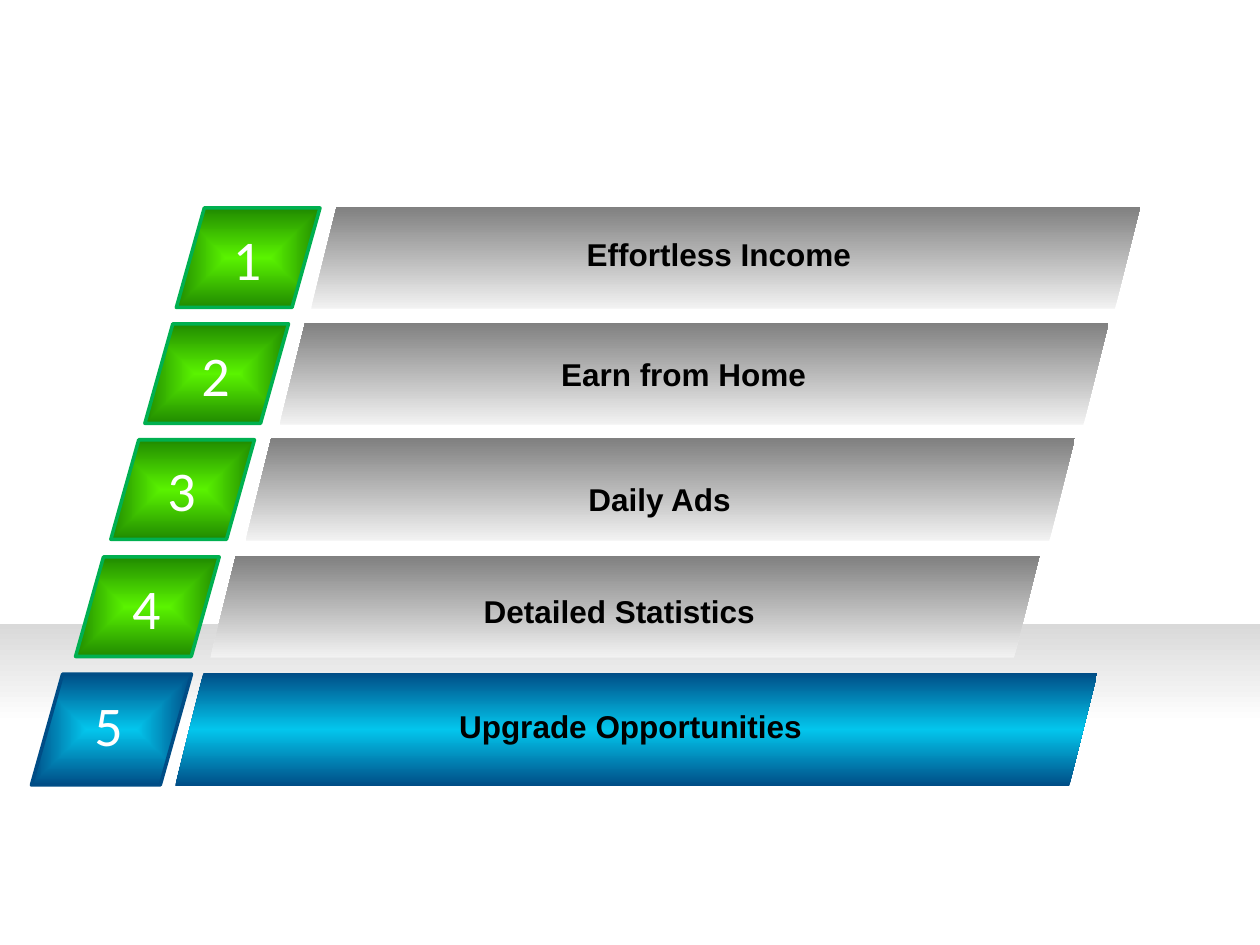
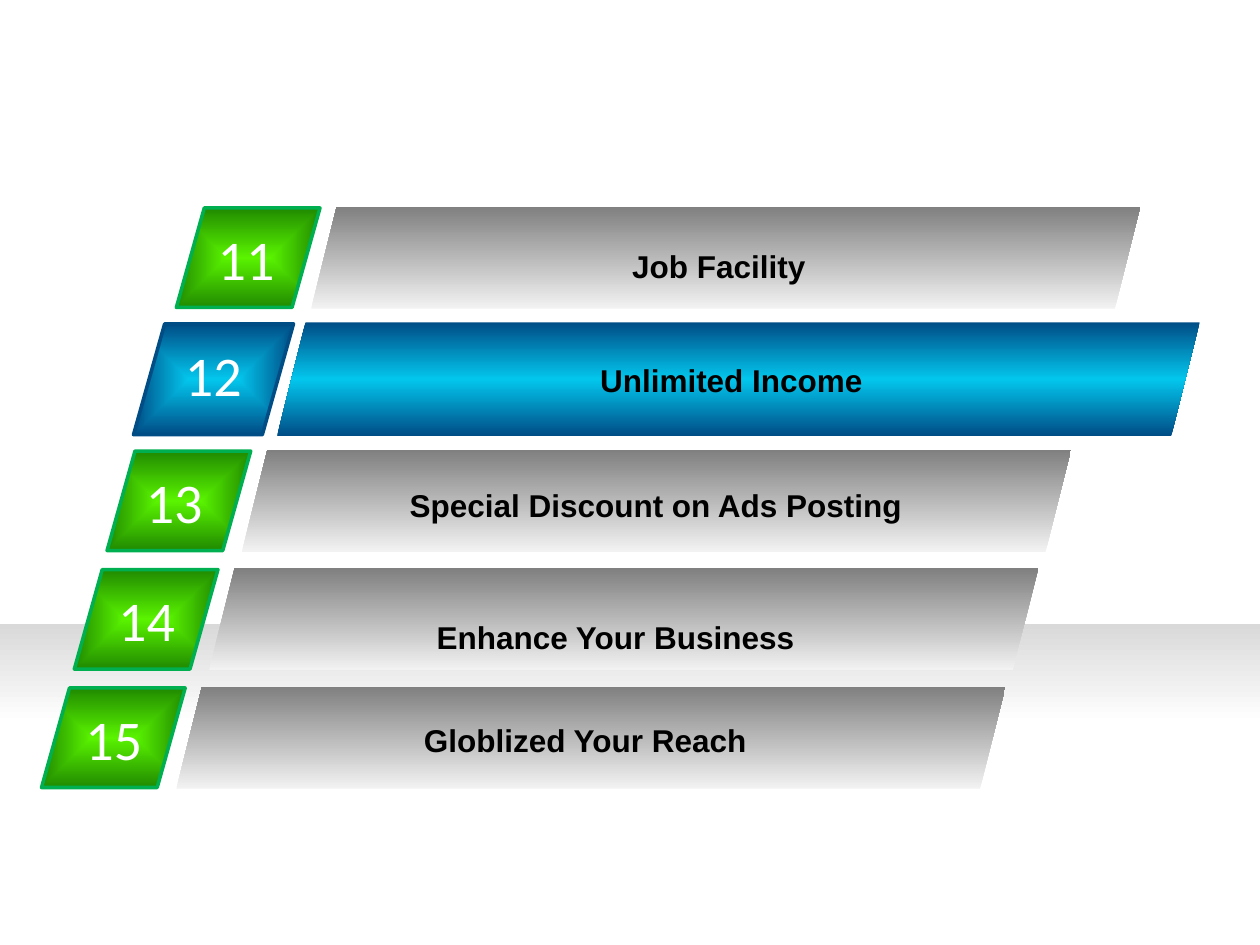
from lxml import etree
from pptx import Presentation
from pptx.dml.color import RGBColor
from pptx.enum.shapes import MSO_SHAPE as Shape
from pptx.enum.text import PP_ALIGN as Align
from pptx.oxml import parse_xml
from pptx.oxml.ns import nsdecls, qn
from pptx.util import Inches, Pt

COLORS = {
    "white": "FFFFFF", "black": "000000", "floor": "D9D9D9",
    "silver": "F2F2F2", "gray": "808080",
    "lime": "5AF300", "green": "208A00", "green_line": "00B050",
    "cyan": "03C6ED", "navy": "004D86",
}

# Sizes, offset of tile from bar, and gradients of the two row styles
STYLES = {
    "plain": {
        "tile": (1.14, 0.79), "bar": (6.58, 0.81), "tile_offset": 1.07,
        "label_width": 5.91, "line": "green_line",
        "tile_stops": [(0, "lime"), (100, "green")],
        "bar_stops": [(0, "silver"), (100, "gray")],
    },
    "highlight": {
        "tile": (1.27, 0.88), "bar": (7.32, 0.9), "tile_offset": 1.14,
        "label_width": 6.57, "line": "navy",
        "tile_stops": [(0, "cyan"), (100, "navy")],
        "bar_stops": [(0, "navy"), (50, "cyan"), (100, "navy")],
    },
}

# Number, label, style, bar left and top, number left, label left and top
SLIDES = [
    [
        ("1", "Effortless Income", "plain", 2.47, 1.64, 1.75, 2.75, 1.82),
        ("2", "Earn from Home", "plain", 2.22, 2.56, 1.5, 2.47, 2.77),
        ("3", "Daily Ads", "plain", 1.95, 3.48, 1.23, 2.28, 3.76),
        ("4", "Detailed Statistics", "plain", 1.67, 4.41, 0.95, 1.96, 4.65),
        ("5", "Upgrade Opportunities", "highlight", 1.39, 5.34, 0.65, 1.72, 5.56),
    ],
    [
        ("11", "Job Facility", "plain", 2.47, 1.64, 1.63, 2.75, 1.91),
        ("12", "Unlimited Income", "highlight", 2.2, 2.56, 1.37, 2.52, 2.82),
        ("13", "Special Discount on Ads Posting", "plain", 1.92, 3.57, 1.06, 2.25, 3.81),
        ("14", "Enhance Your Business", "plain", 1.66, 4.51, 0.84, 1.93, 4.86),
        ("15", "Globlized Your Reach", "plain", 1.4, 5.45, 0.58, 1.69, 5.67),
    ],
]


def add_gradient_shape(slide, kind, left, top, size, stops, angle=None):
    """Add a borderless shape; without an angle the gradient runs from its centre."""
    shape = slide.shapes.add_shape(
        kind, Inches(left), Inches(top), Inches(size[0]), Inches(size[1]))
    shape.shadow.inherit = False
    shape.line.fill.background()
    stop_xml = "".join(
        f'<a:gs pos="{position * 1000}"><a:srgbClr val="{COLORS[color]}"/></a:gs>'
        for position, color in stops)
    if angle is None:
        direction = ('<a:path path="shape"><a:fillToRect l="50000" t="50000" '
                     'r="50000" b="50000"/></a:path>')
    else:
        direction = f'<a:lin ang="{angle * 60000}" scaled="0"/>'
    gradient = parse_xml(
        f'<a:gradFill {nsdecls("a")} rotWithShape="1">'
        f'<a:gsLst>{stop_xml}</a:gsLst>{direction}</a:gradFill>')
    shape.element.spPr.find(qn("a:prstGeom")).addnext(gradient)
    return shape


def add_text(slide, text, left, top, width, height, size, font, color, bold, align):
    box = slide.shapes.add_textbox(
        Inches(left), Inches(top), Inches(width), Inches(height))
    box.text_frame.word_wrap = True
    paragraph = box.text_frame.paragraphs[0]
    paragraph.alignment = align
    run = paragraph.add_run()
    run.text = text
    run.font.size = Pt(size)
    run.font.name = font
    run.font.bold = bold
    run.font.color.rgb = RGBColor.from_string(COLORS[color])


presentation = Presentation()
presentation.slide_width = Inches(10)
presentation.slide_height = Inches(7.5)
blank_layout = presentation.slide_layouts[6]

for slide_index, rows in enumerate(SLIDES):
    slide = presentation.slides.add_slide(blank_layout)

    # Shared floor band, moved to the master once
    if slide_index == 0:
        floor = add_gradient_shape(
            slide, Shape.RECTANGLE, 0, 4.95, (10, 2.02),
            [(0, "floor"), (39, "white"), (100, "white")], 90)
        presentation.slide_master.shapes.element.append(floor.element)

    for number, label, style_name, left, top, number_left, label_left, label_top in rows:
        style = STYLES[style_name]

        # Numbered tile
        tile = add_gradient_shape(
            slide, Shape.PARALLELOGRAM, left - style["tile_offset"], top + 0.01,
            style["tile"], style["tile_stops"])
        tile.adjustments[0] = 0.281
        tile.line.color.rgb = RGBColor.from_string(COLORS[style["line"]])
        tile.line.width = Pt(2)
        etree.SubElement(tile.element.spPr.find(qn("a:ln")), qn("a:round"))
        add_text(slide, number, number_left, top + 0.09, 0.8, 0.64,
                 32, "Calibri", "white", False, Align.LEFT)

        # Bar with its label
        add_gradient_shape(slide, Shape.PARALLELOGRAM, left, top,
                           style["bar"], style["bar_stops"], 270)
        add_text(slide, label, label_left, label_top, style["label_width"], 0.4,
                 18, "Arial", "black", True, Align.CENTER)

presentation.save("out.pptx")
